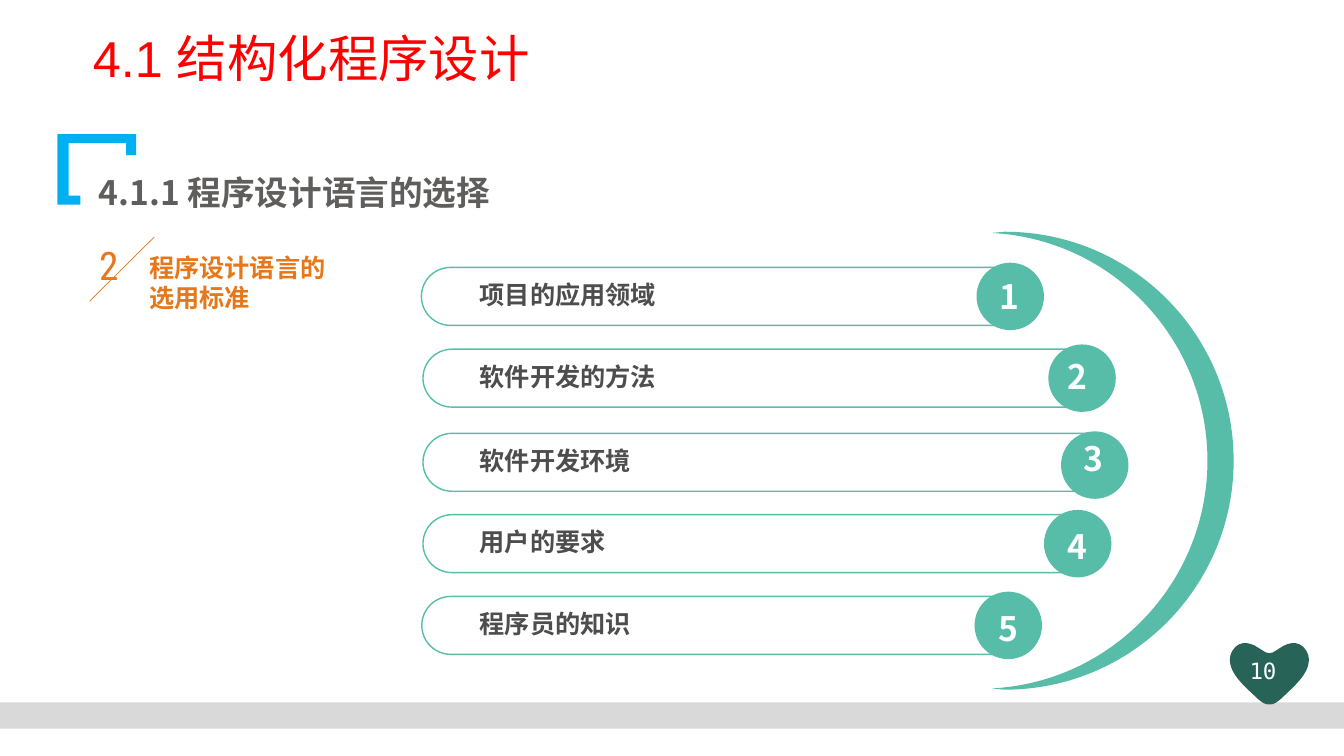
import pptx
import pptx.dml.color
import pptx.enum.shapes
import pptx.enum.text
import pptx.oxml.ns
import pptx.util
from lxml import etree

Cm, Pt = pptx.util.Cm, pptx.util.Pt
RGBColor = pptx.dml.color.RGBColor
SHAPES = pptx.enum.shapes.MSO_SHAPE
qn = pptx.oxml.ns.qn

RED = RGBColor(0xFF, 0x00, 0x00)
WHITE = RGBColor(0xFF, 0xFF, 0xFF)
BLUE = RGBColor(0x00, 0xB0, 0xF0)
GREY = RGBColor(0xD9, 0xD9, 0xD9)
HEADING_GREY = RGBColor(0x5F, 0x5E, 0x5C)
LABEL_GREY = RGBColor(0x4D, 0x4D, 0x4D)
TEAL = RGBColor(0x58, 0xBD, 0xA8)
DARK_TEAL = RGBColor(0x27, 0x63, 0x57)
ORANGE = RGBColor(0xE6, 0x78, 0x19)
CJK_FONT = "Noto Sans CJK SC"

# Lengths are in centimetres.
SLIDE_WIDTH, SLIDE_HEIGHT = 33.87, 19.05
TITLE = "4.1 结构化程序设计"
HEADING = "4.1.1 程序设计语言的选择"
SECTION_NUMBER, SECTION = "2", "程序设计语言的选用标准"
PAGE_NUMBER = "10"

# label, bar left and top, disc left and top, digit left and top
CRITERIA = [
    ("项目的应用领域", (10.62, 6.74), (24.61, 6.62), (24.95, 6.83)),
    ("软件开发的方法", (10.66, 8.80), (26.42, 8.68), (26.65, 8.84)),
    ("软件开发环境", (10.66, 10.92), (26.74, 10.87), (27.05, 10.92)),
    ("用户的要求", (10.66, 12.97), (26.31, 12.85), (26.65, 13.13)),
    ("程序员的知识", (10.63, 15.03), (24.56, 14.91), (24.92, 15.19)),
]
BAR_HEIGHT, BAR_OVERLAP = 1.46, 1.6
DISC_SIZE = 1.7
LABEL_LEFT, LABEL_DROP = 11.84, 0.18

# Each step holds one end point (line) or two handles and an end point (curve).
BRACKET = [
    [(1.45, 3.38)], [(3.43, 3.38)], [(3.43, 3.91)], [(3.18, 3.91)], [(3.18, 3.61)],
    [(1.73, 3.61)], [(1.73, 4.93)], [(2.03, 4.93)], [(2.03, 5.16)], [(1.45, 5.16)],
]
CRESCENT_MIDDLE = 11.61
CRESCENT_TOP = [
    [(30.43, 11.61)],
    [(30.43, 8.64), (28.17, 6.17), (25.25, 5.89)],
    [(24.99, 5.87)], [(25.32, 5.84)],
    [(28.52, 5.84), (31.09, 8.43), (31.09, 11.61)],
]
HEART_MIDDLE = 31.99
HEART_RIGHT = [
    [(31.99, 16.46)],
    [(32.05, 16.46), (32.11, 16.43), (32.13, 16.41)],
    [(32.26, 16.33)],
    [(32.51, 16.15), (32.84, 16.13), (32.97, 16.51)],
    [(33.07, 16.92), (32.64, 17.27), (32.26, 17.63)],
    [(32.15, 17.71)],
    [(32.10, 17.75), (32.05, 17.75), (31.99, 17.75)],
]


def close_by_mirror(steps, axis, middle):
    """Add the mirrored steps that lead back to the start."""
    points = [point for step in steps for point in step][-2::-1]
    mirrored = [tuple(2 * middle - value if index == axis else value
                      for index, value in enumerate(point)) for point in points]
    result = list(steps)
    for step in reversed(steps[1:]):
        result.append(mirrored[:len(step)])
        mirrored = mirrored[len(step):]
    return result


def paint(shape, fill, line=None):
    shape.shadow.inherit = False
    shape.fill.solid()
    shape.fill.fore_color.rgb = fill
    if line is None:
        shape.line.fill.background()
    else:
        shape.line.color.rgb = line
        shape.line.width = Pt(1)


def add_outline(slide, steps, fill):
    """Build a freeform, joining the three segments of each curved step."""
    corners = [(Cm(x), Cm(y)) for step in steps for x, y in step]
    builder = slide.shapes.build_freeform(*corners[0])
    builder.add_line_segments(corners[1:], close=True)
    shape = builder.convert_to_shape()
    segments = iter(list(shape._element.iter(qn("a:lnTo"))))
    for step in steps[1:]:
        parts = [next(segments) for _ in step]
        if len(parts) == 3:
            curve = etree.Element(qn("a:cubicBezTo"))
            parts[0].addprevious(curve)
            for part in parts:
                curve.append(part[0])
                part.getparent().remove(part)
    paint(shape, fill)


def add_preset(slide, kind, left, top, width, height, fill, line=None):
    shape = slide.shapes.add_shape(kind, Cm(left), Cm(top), Cm(width), Cm(height))
    paint(shape, fill, line)
    return shape


def add_text(slide, text, left, top, width, height, size, color,
             font=CJK_FONT, bold=False):
    box = slide.shapes.add_textbox(Cm(left), Cm(top), Cm(width), Cm(height))
    box.text_frame.word_wrap = True
    paragraph = box.text_frame.paragraphs[0]
    paragraph.text = text
    paragraph.font.name = font
    paragraph.font.size = Pt(size)
    paragraph.font.bold = bold
    paragraph.font.color.rgb = color
    defaults = paragraph._p.pPr.find(qn("a:defRPr"))
    etree.SubElement(defaults, qn("a:ea")).set("typeface", CJK_FONT)
    return paragraph


def add_criterion(slide, number, label, bar_place, disc_place, digit_place):
    bar_left, bar_top = bar_place
    bar_width = disc_place[0] + BAR_OVERLAP - bar_left
    bar = add_preset(slide, SHAPES.ROUNDED_RECTANGLE, bar_left, bar_top,
                     bar_width, BAR_HEIGHT, WHITE, TEAL)
    bar.adjustments[0] = 0.5
    add_preset(slide, SHAPES.OVAL, *disc_place, DISC_SIZE, DISC_SIZE, TEAL)
    add_text(slide, str(number), *digit_place, 0.87, 1.35, 24, WHITE, bold=True)
    add_text(slide, label, LABEL_LEFT, bar_top + LABEL_DROP, 12, 1.07, 18,
             LABEL_GREY, bold=True)


def main():
    presentation = pptx.Presentation()
    presentation.slide_width, presentation.slide_height = Cm(SLIDE_WIDTH), Cm(SLIDE_HEIGHT)
    slide = presentation.slides.add_slide(presentation.slide_layouts[6])

    add_outline(slide, BRACKET, BLUE)
    add_preset(slide, SHAPES.RECTANGLE, 0, 17.7, SLIDE_WIDTH, 0.66, GREY)
    add_outline(slide, close_by_mirror(HEART_RIGHT, 0, HEART_MIDDLE), DARK_TEAL)
    page = add_text(slide, PAGE_NUMBER, 30.94, 16.43, 1.78, 0.99, 16, WHITE,
                    "DejaVu Sans Mono")
    page.alignment = pptx.enum.text.PP_ALIGN.CENTER

    title = add_text(slide, TITLE, 2.09, 0.74, 23.37, 2.39, 36, RED, "Arial")
    title.line_spacing = 0.9
    heading = add_text(slide, HEADING, 2.24, 3.9, 16.05, 1.45, 24, HEADING_GREY, bold=True)
    heading.line_spacing = 1.3

    add_outline(slide, close_by_mirror(CRESCENT_TOP, 1, CRESCENT_MIDDLE), TEAL)
    for number, criterion in enumerate(CRITERIA, start=1):
        add_criterion(slide, number, *criterion)

    add_text(slide, SECTION_NUMBER, 2.25, 5.95, 1.02, 1.45, 28, ORANGE, "Roboto Condensed")
    slash = slide.shapes.add_connector(pptx.enum.shapes.MSO_CONNECTOR.STRAIGHT,
                                       Cm(3.89), Cm(5.97), Cm(2.26), Cm(7.59))
    slash.line.color.rgb = ORANGE
    slash.line.width = Pt(0.5)
    etree.SubElement(slash._element.spPr, qn("a:effectLst"))
    section = add_text(slide, SECTION, 3.51, 6.23, 4.98, 1.8, 18, ORANGE, bold=True)
    section.line_spacing = Pt(21.5)

    presentation.save("out.pptx")


if __name__ == "__main__":
    main()
